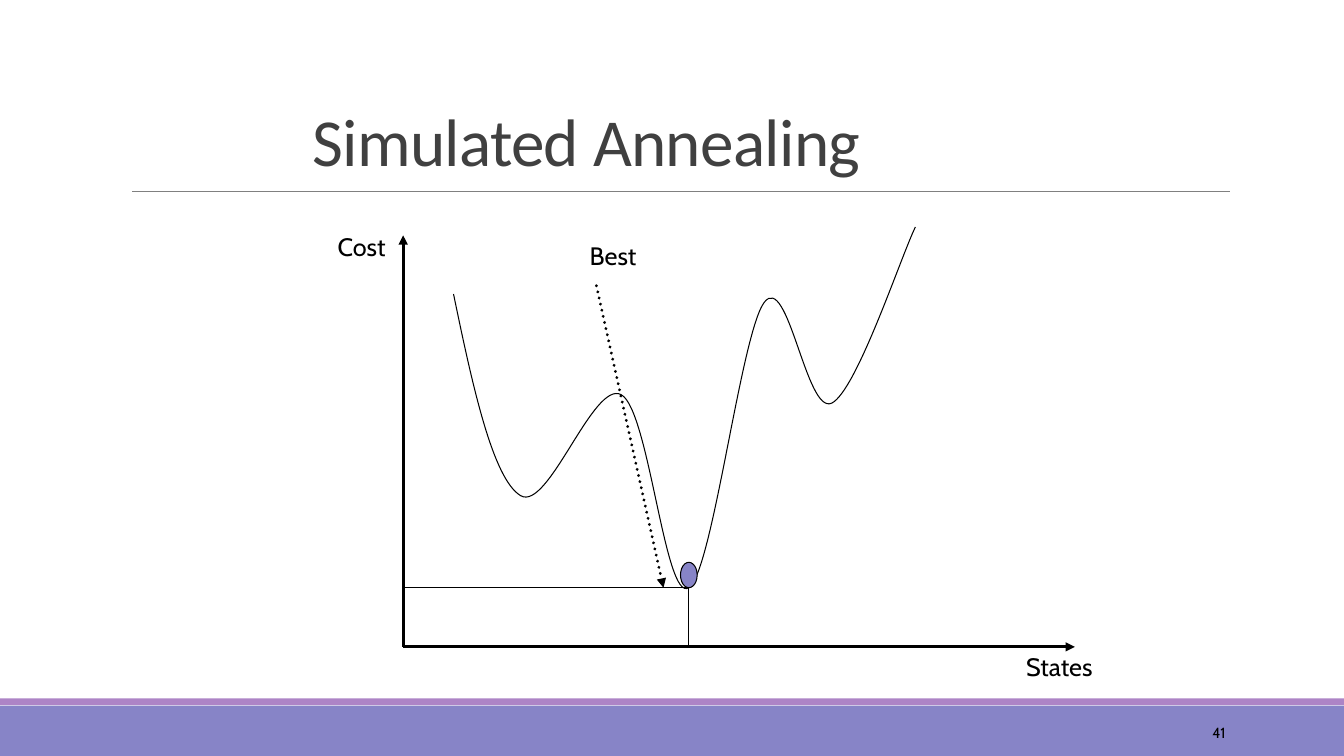
from pptx import Presentation
from pptx.dml.color import RGBColor
from pptx.enum.dml import MSO_LINE_DASH_STYLE as Dash
from pptx.enum.shapes import MSO_CONNECTOR as Link, MSO_SHAPE as Form
from pptx.enum.text import MSO_ANCHOR as Anchor, PP_ALIGN as Align
from pptx.oxml.ns import qn
from pptx.util import Cm, Pt
from lxml.etree import SubElement

BLACK, PURPLE, ORCHID = "000000", "8784C7", "AD84C6"
WIDTH, HEIGHT = 33.87, 19.05
ORIGIN = (10.16, 16.3)
BEST = (17.36, 14.81)
CURVE_START = (11.43, 7.41)
CURVE_BENDS = [
    [(11.91, 9.73), (12.42, 12.07), (13.12, 12.49)],
    [(13.82, 12.91), (14.96, 9.55), (15.66, 9.95)],
    [(16.36, 10.34), (16.76, 15.21), BEST],
    [(17.96, 14.42), (18.67, 8.41), (19.26, 7.62)],
    [(19.86, 6.83), (20.32, 10.46), (20.96, 10.16)],
    [(21.59, 9.85), (22.71, 6.45), (23.07, 5.72)],
]


def colour(value):
    return RGBColor.from_string(value)


def set_line(shape, value, width):
    shape.line.color.rgb = colour(value)
    shape.line.width = Pt(width)


def add_form(page, form, left, top, width, height, fill, outline=None):
    shape = page.shapes.add_shape(form, Cm(left), Cm(top), Cm(width), Cm(height))
    shape.shadow.inherit = False
    shape.fill.solid()
    shape.fill.fore_color.rgb = colour(fill)
    if outline:
        set_line(shape, outline, 0.75)
    else:
        shape.line.fill.background()


def add_line(page, start, end, width=0.75, value=BLACK, arrow=False, dotted=False):
    line = page.shapes.add_connector(Link.STRAIGHT, *map(Cm, start + end))
    SubElement(line._element.spPr, qn("a:effectLst"))
    set_line(line, value, width)
    stroke = line.line._get_or_add_ln()
    if dotted:
        line.line.dash_style = Dash.ROUND_DOT
        stroke.set("cap", "rnd")
    if arrow:
        SubElement(stroke, qn("a:tailEnd"), type="triangle")


def add_text(page, text, left, top, width, height=1.02, size=18, font="Cabin",
             value=BLACK, anchor=Anchor.TOP, align=Align.LEFT):
    box = page.shapes.add_textbox(Cm(left), Cm(top), Cm(width), Cm(height))
    frame = box.text_frame
    frame.word_wrap = True
    frame.vertical_anchor = anchor
    para = frame.paragraphs[0]
    para.text = text
    para.alignment = align
    para.font.name = font
    para.font.size = Pt(size)
    para.font.color.rgb = colour(value)
    return para


def add_curve(page, start, bends):
    builder = page.shapes.build_freeform(*map(Cm, start))
    for bend in bends:
        builder.add_line_segments([(Cm(x), Cm(y)) for x, y in bend], close=False)
    curve = builder.convert_to_shape()
    curve.shadow.inherit = False
    curve.fill.background()
    set_line(curve, BLACK, 0.75)
    outline = next(curve._element.iter(qn("a:path")))
    segments = outline.findall(qn("a:lnTo"))
    for first in range(0, len(segments), 3):
        bend = SubElement(outline, qn("a:cubicBezTo"))
        for segment in segments[first:first + 3]:
            bend.append(segment[0])
            outline.remove(segment)


def add_frame(page):
    add_form(page, Form.RECTANGLE, 0, 17.78, WIDTH, 1.27, PURPLE)
    add_form(page, Form.RECTANGLE, 0, 17.6, WIDTH, 0.17, ORCHID)
    add_line(page, (3.33, 4.82), (31, 4.82), 0.5, "808080")
    add_text(page, "41", 27.51, 17.94, 3.63, size=10.5,
             anchor=Anchor.MIDDLE, align=Align.RIGHT)
    title = add_text(page, "Simulated Annealing", 7.62, 2.37, 21.64, 2.29, 48,
                     "Calibri", "404040", Anchor.BOTTOM)
    title.line_spacing = 0.85
    title.runs[0].font._element.set("spc", "-50")


def add_cost_plot(page):
    add_line(page, ORIGIN, (ORIGIN[0], 5.93), 2.25, arrow=True)
    add_line(page, ORIGIN, (27.09, ORIGIN[1]), 2.25, arrow=True)
    add_curve(page, CURVE_START, CURVE_BENDS)
    add_form(page, Form.OVAL, BEST[0] - 0.21, BEST[1] - 0.64, 0.42, 0.64, PURPLE, BLACK)
    add_text(page, "Cost", 8.26, 5.7, 2.75)
    add_text(page, "States", 25.61, 16.3, 2.96)
    add_line(page, (15.03, 7.2), (16.72, BEST[1]), 2.25, arrow=True, dotted=True)
    add_text(page, "Best", 14.61, 5.93, 2.12)
    add_line(page, BEST, (BEST[0], ORIGIN[1]))
    add_line(page, BEST, (ORIGIN[0], BEST[1]))


def main():
    deck = Presentation()
    deck.slide_width, deck.slide_height = Cm(WIDTH), Cm(HEIGHT)
    page = deck.slides.add_slide(deck.slide_layouts[6])
    add_frame(page)
    add_cost_plot(page)
    deck.save("out.pptx")


if __name__ == "__main__":
    main()
